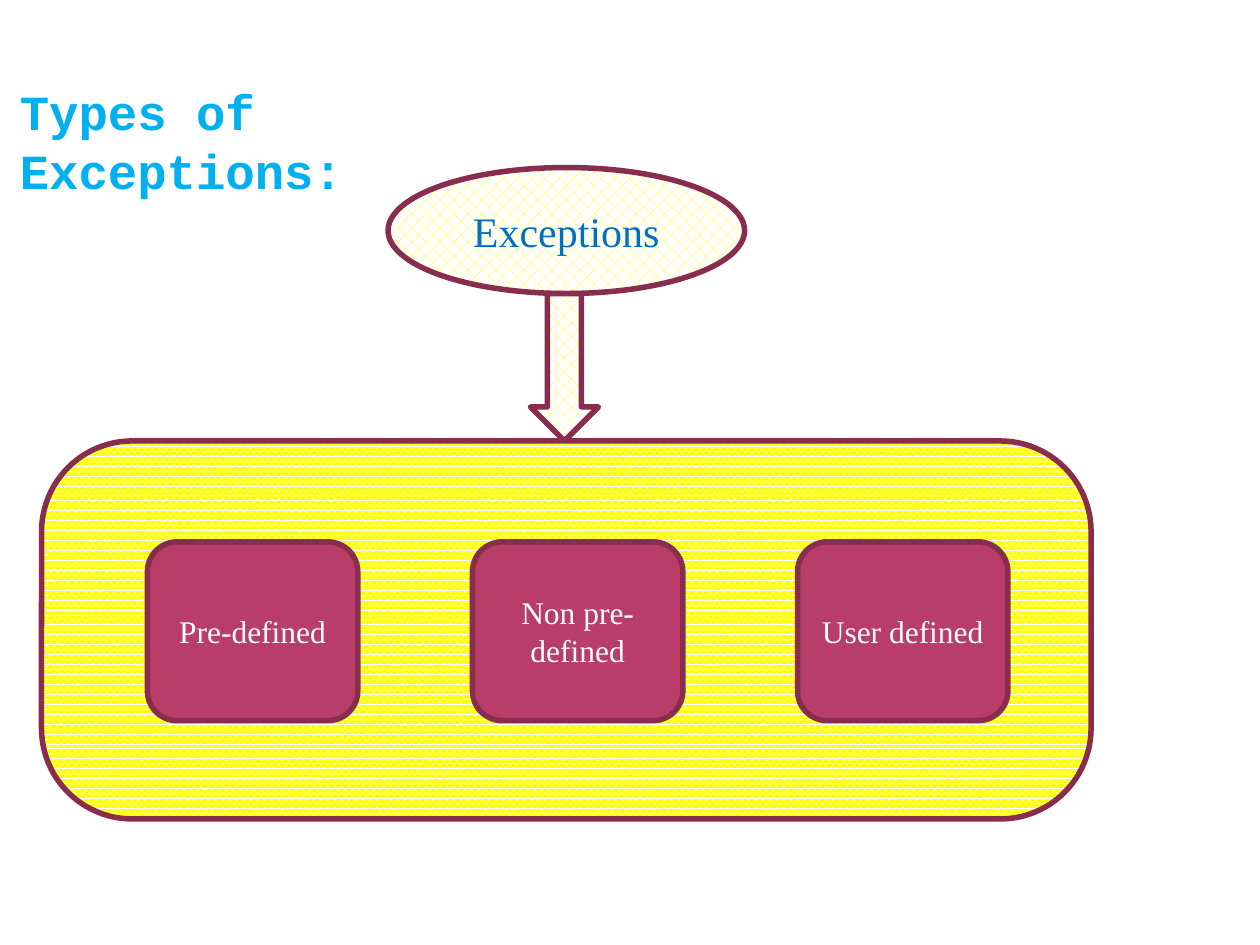
import pptx
import pptx.util
import pptx.dml.color
import pptx.enum.dml
import pptx.enum.shapes
import pptx.enum.text

Inches = pptx.util.Inches
SHAPE = pptx.enum.shapes.MSO_SHAPE
PATTERN = pptx.enum.dml.MSO_PATTERN


def rgb(value):
    return pptx.dml.color.RGBColor.from_string(value)


def write(sp, text, font, size, color, bold=False):
    tf = sp.text_frame
    tf.word_wrap = True
    tf.text = text
    r = tf.paragraphs[0].runs[0]
    r.font.name = font
    r.font.size = pptx.util.Pt(size)
    r.font.bold = bold
    r.font.color.rgb = rgb(color)


prs = pptx.Presentation()
prs.slide_width = Inches(10)
prs.slide_height = Inches(7.5)
s = prs.slides.add_slide(prs.slide_layouts[6])

shapes = [
    (SHAPE.OVAL, 3.08, 1.33, 2.83, 1, PATTERN.PERCENT_25, "FFFF00", "FFFFFF", "Exceptions", 24, "0070C0"),
    (SHAPE.DOWN_ARROW, 4.21, 2.33, 0.54, 1.17, PATTERN.PERCENT_25, "FFFF00", "FFFFFF", "", 18, "FFFFFF"),
    (SHAPE.ROUNDED_RECTANGLE, 0.33, 3.5, 8.33, 3, PATTERN.PERCENT_75, "FFFFFF", "FFFF00", "", 18, "FFFFFF"),
]
for i, label in enumerate(["Pre-defined", "Non pre-defined", "User defined"]):
    shapes.append((SHAPE.ROUNDED_RECTANGLE, 1.17 + 2.58 * i, 4.3, 1.67, 1.42,
                   None, "B83D68", None, label, 18, "FFFFFF"))

for kind, left, top, width, height, pattern, fore, back, text, size, color in shapes:
    sp = s.shapes.add_shape(kind, Inches(left), Inches(top), Inches(width), Inches(height))
    sp.shadow.inherit = False
    if pattern:
        sp.fill.patterned()
        sp.fill.pattern = pattern
        sp.fill.back_color.rgb = rgb(back)
    else:
        sp.fill.solid()
    sp.fill.fore_color.rgb = rgb(fore)
    sp.line.color.rgb = rgb("882D4D")
    sp.line.width = pptx.util.Pt(3.15)
    if height == 3:
        sp.adjustments[0] = 0.24
    if text:
        write(sp, text, "Times New Roman", size, color)
        sp.text_frame.vertical_anchor = pptx.enum.text.MSO_ANCHOR.MIDDLE
        sp.text_frame.paragraphs[0].alignment = pptx.enum.text.PP_ALIGN.CENTER

title = s.shapes.add_textbox(Inches(0.06), Inches(0.6), Inches(3.85), Inches(0.57))
write(title, "Types of Exceptions:", "Courier New", 28, "00B0F0", True)
title.text_frame.auto_size = pptx.enum.text.MSO_AUTO_SIZE.SHAPE_TO_FIT_TEXT

prs.save("out.pptx")
